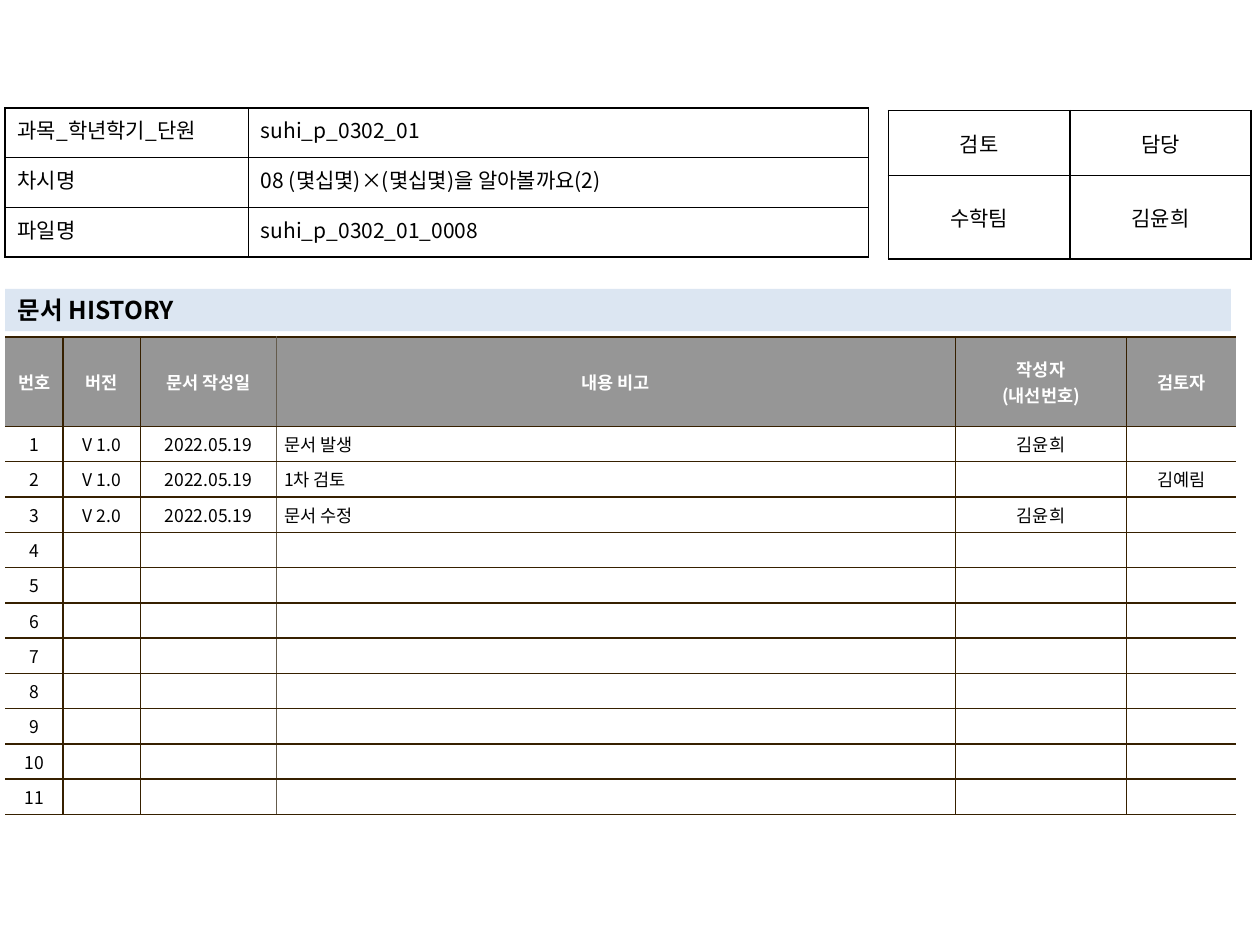
from lxml.etree import SubElement
from pptx import Presentation
from pptx.dml.color import RGBColor
from pptx.enum.text import MSO_ANCHOR as Anchor, MSO_AUTO_SIZE as AutoSize, PP_ALIGN as Align
from pptx.oxml.ns import qn
from pptx.util import Pt

FONT = "Noto Sans CJK KR"
COLORS = {
    "black": "000000",
    "white": "FFFFFF",
    "header": "969696",
    "band": "DCE6F2",
    "brown": "362000",
    "taupe": "645B4C",
}


def style_text(paragraph, size, color="black", bold=False, align=Align.LEFT):
    """Format the runs, or the empty line that sets the height of a blank cell."""
    paragraph.alignment = align
    if not paragraph.runs:
        SubElement(paragraph._p, qn("a:endParaRPr"), sz=str(size * 100))
    for run in paragraph.runs:
        for name, value in {"size": Pt(size), "bold": bold, "name": FONT}.items():
            setattr(run.font, name, value)
        run.font.color.rgb = RGBColor.from_string(COLORS[color])
        SubElement(run._r.get_or_add_rPr(), qn("a:ea"), typeface=FONT)


def add_grid(left, top, widths, heights, rows, margins, anchor, border):
    """Add a table with plain 1 pt borders and return it."""
    table = slide.shapes.add_table(
        len(rows), len(widths), Pt(left), Pt(top), Pt(sum(widths)), Pt(sum(heights))
    ).table
    table.first_row = table.horz_banding = False
    for column, width in zip(table.columns, widths):
        column.width = Pt(width)
    for row, height, texts in zip(table.rows, heights, rows):
        row.height = Pt(height)
        for cell, text in zip(row.cells, texts):
            cell.text = text
            cell.vertical_anchor = anchor
            cell.margin_left = cell.margin_right = Pt(margins[0])
            cell.margin_top = cell.margin_bottom = Pt(margins[1])
            for side in "LRTB":
                line = SubElement(cell._tc.get_or_add_tcPr(), qn(f"a:ln{side}"), w=str(Pt(1)))
                fill = SubElement(line, qn("a:solidFill"))
                SubElement(fill, qn("a:srgbClr"), val=COLORS[border])
            cell.fill.background()
    return table


deck = Presentation()
deck.slide_width, deck.slide_height = Pt(720), Pt(540)
slide = deck.slides.add_slide(deck.slide_layouts[5])

# Heading band
heading = slide.shapes.title
heading_place = {"left": 2.9, "top": 165, "width": 700.5, "height": 24.3}
for name, value in heading_place.items():
    setattr(heading, name, Pt(value))
heading.fill.solid()
heading.fill.fore_color.rgb = RGBColor.from_string(COLORS["band"])
heading.text_frame.text = "문서 HISTORY"
heading.text_frame.auto_size = AutoSize.NONE
heading.text_frame.vertical_anchor = Anchor.MIDDLE
style_text(heading.text_frame.paragraphs[0], 14, bold=True)

# Lesson details
lesson_rows = [
    ("과목_학년학기_단원 ", "suhi_p_0302_01"),
    ("차시명", "08 (몇십몇)×(몇십몇)을 알아볼까요(2)"),
    ("파일명", "suhi_p_0302_01_0008"),
]
lesson = add_grid(2.9, 61.8, [139, 354.3], [28.35] * 3, lesson_rows,
                  (7.2, 3.6), Anchor.TOP, "black")
for row in lesson.rows:
    for cell, align in zip(row.cells, (Align.JUSTIFY, Align.LEFT)):
        style_text(cell.text_frame.paragraphs[0], 12, align=align)

# Approval box
approval = add_grid(507.6, 63.2, [103.7] * 2, [37.1, 47.8],
                    [("검토", "담당"), ("수학팀", "김윤희")],
                    (7.2, 3.6), Anchor.MIDDLE, "black")
for cell in approval.iter_cells():
    style_text(cell.text_frame.paragraphs[0], 12, align=Align.CENTER)

# Revision history
ENTRY_COUNT = 11
NOTE_COLUMN = 3
history_header = ("번호", "버전", "문서 작성일", "내용 비고", "작성자\n(내선번호)", "검토자")
entries = [
    ("V 1.0", "2022.05.19", "문서 발생", "김윤희", ""),
    ("V 1.0", "2022.05.19", "1차 검토", "", "김예림"),
    ("V 2.0", "2022.05.19", "문서 수정", "김윤희", ""),
]
entries += [("",) * 5] * (ENTRY_COUNT - len(entries))
history_rows = [history_header]
history_rows += [(str(number), *entry) for number, entry in enumerate(entries, 1)]
history = add_grid(2.9, 192.7, [33.2, 44.2, 77.7, 388, 97.8, 62.4],
                   [51] + [18] * ENTRY_COUNT, history_rows,
                   (4.4, 2.88), Anchor.MIDDLE, "brown")
for row_index, row in enumerate(history.rows):
    is_header = row_index == 0
    for column_index, cell in enumerate(row.cells):
        cell.fill.solid()
        cell.fill.fore_color.rgb = RGBColor.from_string(COLORS["header" if is_header else "white"])
        is_note = column_index == NOTE_COLUMN and not is_header
        for paragraph in cell.text_frame.paragraphs:
            style_text(paragraph, 10, "white" if is_header else "black", is_header,
                       Align.LEFT if is_note else Align.CENTER)
            if is_note:
                properties = paragraph._p.get_or_add_pPr()
                properties.set("marL", str(Pt(13.5)))
                properties.set("indent", str(Pt(-13.5)))

    # The outer sides stay open, and the note column starts with a lighter rule
    for column_index, side in ((0, "L"), (len(history_header) - 1, "R")):
        line = row.cells[column_index]._tc.tcPr.find(qn(f"a:ln{side}"))
        line.remove(line[0])
        SubElement(line, qn("a:noFill"))
    for column_index, side in ((NOTE_COLUMN - 1, "R"), (NOTE_COLUMN, "L")):
        line = row.cells[column_index]._tc.tcPr.find(qn(f"a:ln{side}"))
        line[0][0].set("val", COLORS["taupe"])

deck.save("out.pptx")
